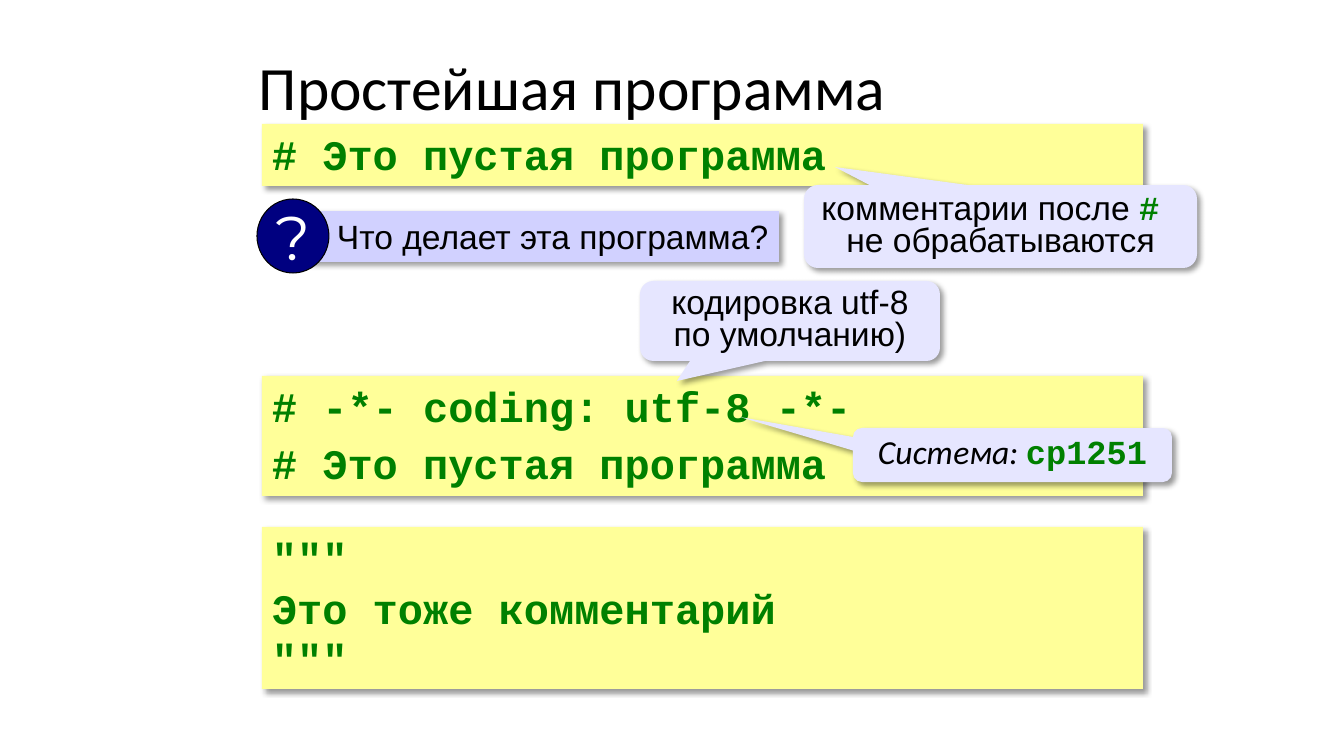
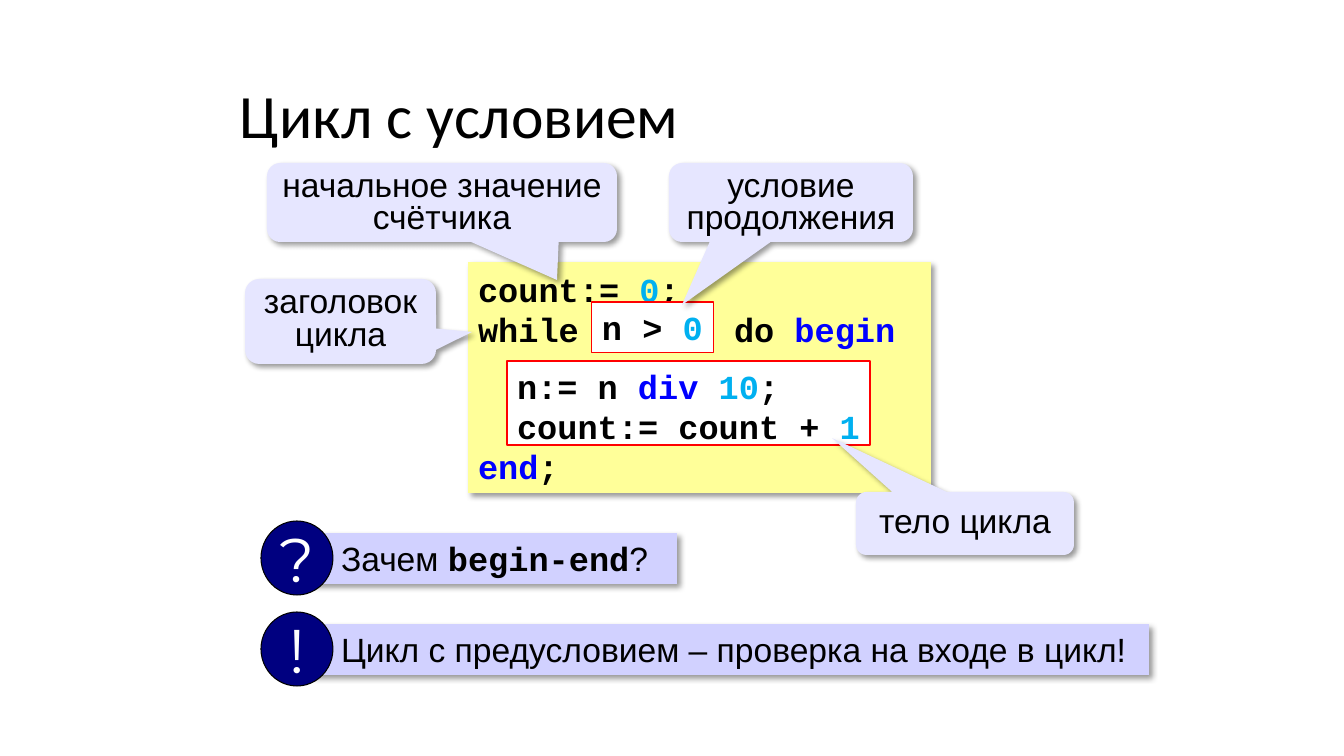
from lxml import etree
from pptx import Presentation
from pptx.dml.color import RGBColor
from pptx.enum.shapes import MSO_SHAPE as SHAPE
from pptx.enum.text import MSO_ANCHOR as ANCHOR, PP_ALIGN as ALIGN
from pptx.oxml.ns import qn
from pptx.util import Emu, Pt

SLIDE_W, SLIDE_H = 1344, 756
EMU_PER_PX = 12192000 / SLIDE_W

BLACK, WHITE, RED = "000000", "FFFFFF", "FF0000"
CODE_FILL, CALLOUT_FILL, BAR_FILL, BADGE_FILL = "FFFF99", "E6E6FF", "D1D1FF", "000080"
COMMENT, KEYWORD, NUMBER = "008000", "0000FF", "00B0F0"

MONO = dict(font="Courier New", bold=True)
COMMENT_STYLE = dict(MONO, color=COMMENT)
KEYWORD_STYLE = dict(color=KEYWORD)
NUMBER_STYLE = dict(color=NUMBER)


def px(length):
    return Emu(round(length * EMU_PER_PX))


def rgb(hex_color):
    return RGBColor.from_string(hex_color)


def write(shape, paragraphs, size=24, font="Arial", color=BLACK, bold=False, italic=False,
          align=ALIGN.LEFT, anchor=ANCHOR.TOP, wrap=True, line_spacing=None,
          before=0, after=None, margins=(10, 10)):
    """Fill a shape; a paragraph is a string or a list of strings and (string, style) runs.

    after maps a paragraph number to the gap below it, in points.
    """
    frame = shape.text_frame
    frame.word_wrap, frame.vertical_anchor = wrap, anchor
    frame.margin_left, frame.margin_right = map(px, margins)
    frame.margin_top = frame.margin_bottom = px(5)
    base = dict(size=size, font=font, color=color, bold=bold, italic=italic)
    for number, runs in enumerate(paragraphs):
        paragraph = frame.add_paragraph() if number else frame.paragraphs[0]
        paragraph.alignment = align
        paragraph.space_before = Pt(before)
        paragraph.space_after = Pt((after or {}).get(number, 0))
        if line_spacing:
            paragraph.line_spacing = line_spacing
        for part in [runs] if isinstance(runs, str) else runs:
            text, style = (part, {}) if isinstance(part, str) else part
            if text == "\n":
                paragraph.add_line_break()
                continue
            look = {**base, **style}
            run = paragraph.add_run()
            run.text = text
            run.font.name, run.font.size = look["font"], Pt(look["size"])
            run.font.bold, run.font.italic = look["bold"], look["italic"]
            run.font.color.rgb = rgb(look["color"])
    return shape


def add_tab_stop(paragraph, position):
    properties = paragraph._p.get_or_add_pPr()
    stops = etree.SubElement(properties, qn("a:tabLst"))
    etree.SubElement(stops, qn("a:tab"), pos=str(px(position)), algn="l")


def add_shadow(shape):
    effects = shape._element.spPr.find(qn("a:effectLst"))
    shadow = etree.SubElement(effects, qn("a:outerShdw"), blurRad=str(Pt(4)),
                              dist=str(Pt(3)), dir="2700000", algn="tl", rotWithShape="0")
    tint = etree.SubElement(shadow, qn("a:srgbClr"), val=BLACK)
    etree.SubElement(tint, qn("a:alpha"), val="40000")


def draw(shapes, kind, box, fill, outline=None, outline_pt=0.75, shadow=False):
    shape = shapes.add_shape(kind, *map(px, box))
    shape.shadow.inherit = False
    shape.fill.solid()
    shape.fill.fore_color.rgb = rgb(fill)
    if outline:
        shape.line.color.rgb = rgb(outline)
        shape.line.width = Pt(outline_pt)
    else:
        shape.line.fill.background()
    if shadow:
        add_shadow(shape)
    return shape


def add_title(slide, left, top, text):
    box = slide.shapes.add_textbox(*map(px, (left, top, 923, 52)))
    write(box, [text], size=44, font="Calibri", line_spacing=0.9)


def add_code(slide, box, lines, **style):
    panel = draw(slide.shapes, SHAPE.RECTANGLE, box, CODE_FILL, shadow=True)
    return write(panel, lines, **{**MONO, **style})


def add_comment_code(slide, top, height, lines, before=0):
    add_code(slide, (262, top, 881, height), lines, size=30, color=COMMENT, before=before)


def add_code_inset(slide, kind, box, lines, outline_pt=0.75, wrap=True):
    inset = draw(slide.shapes, kind, box, WHITE, RED, outline_pt)
    write(inset, lines, wrap=wrap, **MONO)


def add_callout(slide, box, tip, runs, anchor=ANCHOR.TOP, line_spacing=0.8):
    """Draw a speech bubble whose pointer ends at tip."""
    left, top, width, height = box
    bubble = draw(slide.shapes, SHAPE.ROUNDED_RECTANGULAR_CALLOUT, box, CALLOUT_FILL, shadow=True)
    bubble.adjustments[0] = (tip[0] - left) / width - 0.5
    bubble.adjustments[1] = (tip[1] - top) / height - 0.5
    write(bubble, [runs], align=ALIGN.CENTER, anchor=anchor, line_spacing=line_spacing)


def add_remark(slide, left, top, bar_width, sign, runs):
    """Draw a bar of text with a round badge over its left end."""
    parts = slide.shapes.add_group_shape().shapes
    bar = draw(parts, SHAPE.RECTANGLE, (left + 51, top + 12, bar_width, 51), BAR_FILL, shadow=True)
    write(bar, [runs], margins=(29, 2))
    badge = draw(parts, SHAPE.OVAL, (left, top, 72, 74), BADGE_FILL, BLACK)
    write(badge, [sign], size=44, font="Montserrat", color=WHITE,
          align=ALIGN.CENTER, anchor=ANCHOR.MIDDLE, wrap=False)


def build_simplest_program(slide):
    add_title(slide, 249, 52, "Простейшая программа")
    add_comment_code(slide, 124, 62, ["# Это пустая программа"], before=4.5)
    add_remark(slide, 257, 199, 471, "?", "Что делает эта программа?")
    add_callout(slide, (804, 185, 393, 83), (835, 167),
                ["комментарии после ", ("# ", COMMENT_STYLE), "\n", "не обрабатываются"],
                anchor=ANCHOR.MIDDLE)
    add_comment_code(slide, 376, 120, ["# -*- coding: utf-8 -*-", "# Это пустая программа"],
                     before=4.5)
    add_callout(slide, (640, 281, 300, 80), (677, 381), "кодировка utf-8 по умолчанию)",
                anchor=ANCHOR.MIDDLE)
    add_callout(slide, (853, 428, 319, 54), (740, 417),
                [("Система: ", dict(font="Calibri", italic=True)), ("cp1251", COMMENT_STYLE)],
                anchor=ANCHOR.MIDDLE)
    add_comment_code(slide, 527, 162, ['"""', "Это тоже комментарий", '"""'])


def build_while_loop(slide):
    add_title(slide, 230, 80, "Цикл с условием")
    loop = add_code(slide, (468, 262, 463, 231), [
        ["count:= ", ("0", NUMBER_STYLE), ";"],
        ["while\tdo ", ("begin", KEYWORD_STYLE)],
        [("end", KEYWORD_STYLE), ";"],
    ], anchor=ANCHOR.MIDDLE, after={1: 69})
    add_tab_stop(loop.text_frame.paragraphs[1], 256)
    add_code_inset(slide, SHAPE.FLOWCHART_PROCESS, (507, 361, 363, 84), [
        ["n:= n ", ("div ", KEYWORD_STYLE), ("10", NUMBER_STYLE), ";"],
        ["count:= count + ", ("1", NUMBER_STYLE)],
    ], outline_pt=1)
    add_callout(slide, (856, 492, 218, 63), (832, 438), "тело цикла", line_spacing=None)
    add_callout(slide, (267, 163, 350, 79), (557, 280), "начальное значение счётчика")
    add_code_inset(slide, SHAPE.RECTANGLE, (592, 302, 122, 51),
                   [["n > ", ("0", NUMBER_STYLE)]], wrap=False)
    add_callout(slide, (669, 163, 244, 79), (682, 305), "условие продолжения")
    add_callout(slide, (245, 279, 191, 85), (472, 332), "заголовок цикла")
    add_remark(slide, 261, 521, 365, "?", ["Зачем ", ("begin-end", MONO), "?"])
    add_remark(slide, 261, 612, 837, "!", "Цикл с предусловием – проверка на входе в цикл!")


def main():
    deck = Presentation()
    deck.slide_width, deck.slide_height = px(SLIDE_W), px(SLIDE_H)
    for build in (build_simplest_program, build_while_loop):
        build(deck.slides.add_slide(deck.slide_layouts[6]))
    deck.save("out.pptx")


if __name__ == "__main__":
    main()
